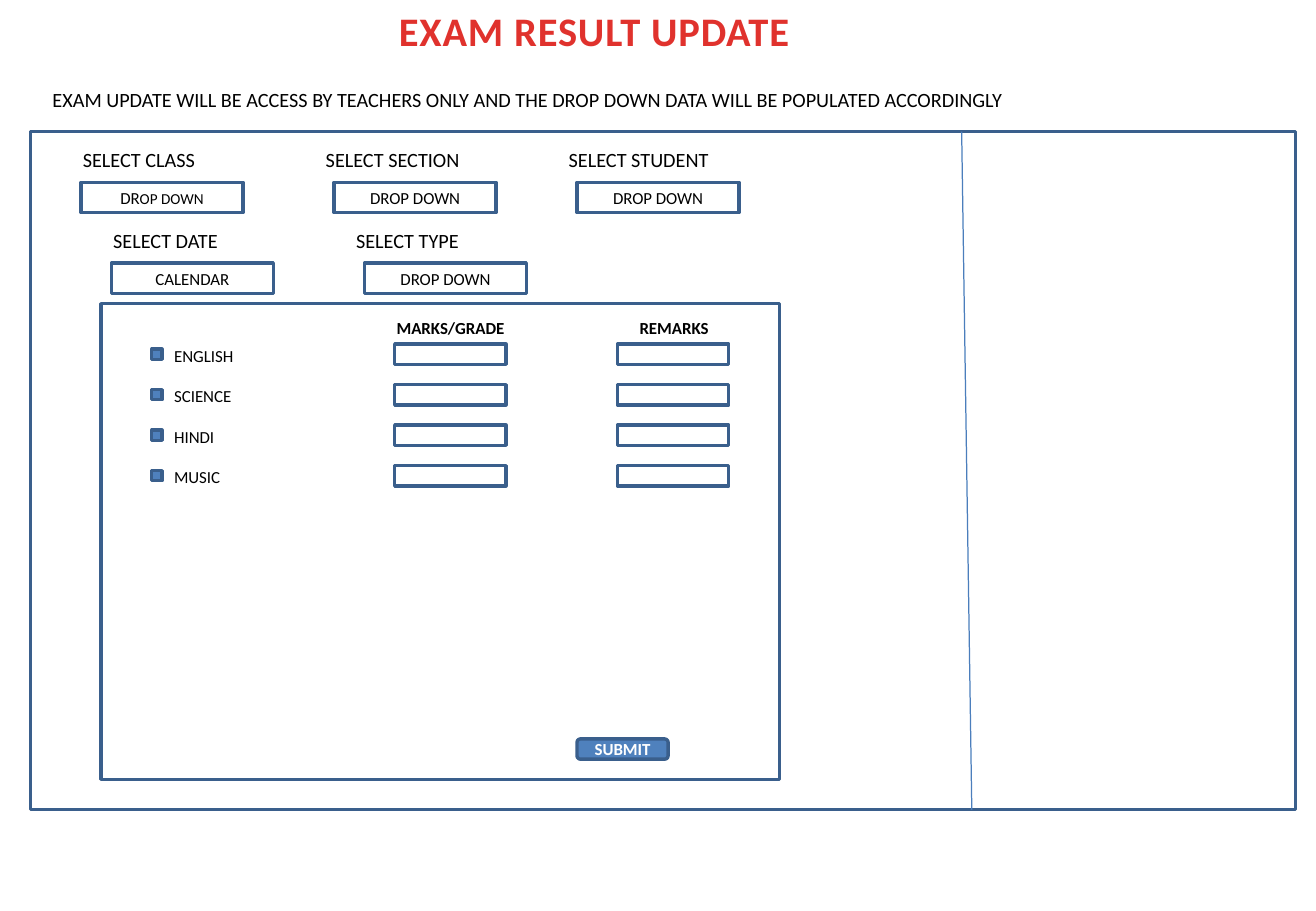
from lxml import etree
from pptx import Presentation
from pptx.dml.color import RGBColor
from pptx.enum.shapes import MSO_CONNECTOR, MSO_SHAPE
from pptx.enum.text import MSO_ANCHOR, MSO_AUTO_SIZE, PP_ALIGN
from pptx.oxml.ns import qn
from pptx.util import Inches, Pt

RECT, ROUNDED = MSO_SHAPE.RECTANGLE, MSO_SHAPE.ROUNDED_RECTANGLE
STRAIGHT = MSO_CONNECTOR.STRAIGHT
LEFT, CENTER = PP_ALIGN.LEFT, PP_ALIGN.CENTER
TOP, MIDDLE = MSO_ANCHOR.TOP, MSO_ANCHOR.MIDDLE
NO_AUTOFIT = MSO_AUTO_SIZE.NONE

RED = RGBColor(0xE0, 0x32, 0x2D)
BLUE = RGBColor(0x4F, 0x81, 0xBD)
DARK_BLUE = RGBColor(0x3A, 0x5F, 0x8C)
DIVIDER_BLUE = RGBColor(0x4B, 0x7E, 0xBC)
BLACK = RGBColor(0, 0, 0)
WHITE = RGBColor(0xFF, 0xFF, 0xFF)
FONT = "Calibri"

# Content; a tuple in place of a text holds (text, size) runs
TITLE = "EXAM RESULT UPDATE"
INTRO = ("EXAM UPDATE WILL BE ACCESS BY TEACHERS ONLY AND THE DROP DOWN "
         "DATA WILL BE POPULATED ACCORDINGLY")
DROP_DOWN = "DROP DOWN"
SELECTORS = [  # label, label column, label row, field text, field column
    ("SELECT CLASS", 7, 14, (("DR", 10), ("OP DOWN", 9)), 8),
    ("SELECT SECTION", 31, 14, DROP_DOWN, 33),
    ("SELECT STUDENT", 55, 14, DROP_DOWN, 57),
    ("SELECT DATE", 10, 22, "CALENDAR", 11),
    ("SELECT TYPE", 34, 22, DROP_DOWN, 36),
]
SUBJECTS = ["ENGLISH", "SCIENCE", "HINDI", "MUSIC"]
ENTRY_COLUMNS = [("MARKS/GRADE", 38, 39), ("REMARKS", 62, 61)]

# The slide is a grid of 130 columns by 90 rows, twelve to the inch
COLS, ROWS = 130, 90
FORM = (3, 13, 125, 67)
MARKS_PANEL = (10, 30, 67, 47)
FIRST_ROW, ROW_STEP = 34, 4


def grid(*cells):
    """Turn grid units into lengths."""
    return [Inches(c / 12) for c in cells]


def write(tf, lines, size=10, color=BLACK, bold=False, align=LEFT,
          anchor=TOP, wrap=True, gap=0, spacing=None):
    """Fill a text frame with one paragraph per line."""
    tf.auto_size = NO_AUTOFIT
    tf.word_wrap = wrap
    tf.vertical_anchor = anchor
    for i, line in enumerate(lines):
        p = tf.add_paragraph() if i else tf.paragraphs[0]
        p.alignment = align
        p.space_before, p.space_after = Pt(0), Pt(gap)
        for text, points in ([(line, size)] if isinstance(line, str) else line):
            r = p.add_run()
            r.text = text
            r.font.name, r.font.size, r.font.bold = FONT, Pt(points), bold
            r.font.color.rgb = color
            if spacing:
                r.font._element.set("spc", str(int(spacing * 100)))


def add_text(text, box, **fmt):
    """Add a text box."""
    write(slide.shapes.add_textbox(*grid(*box)).text_frame, [text], **fmt)


def add_box(box, text=None, kind=RECT, fill=WHITE, **fmt):
    """Add an outlined box, with centred text if any is given."""
    sp = slide.shapes.add_shape(kind, *grid(*box))
    sp.shadow.inherit = False
    sp.fill.solid()
    sp.fill.fore_color.rgb = fill
    sp.line.color.rgb, sp.line.width = DARK_BLUE, Pt(2)
    if text:
        write(sp.text_frame, [text], align=CENTER, anchor=MIDDLE, **fmt)


def place(sp, box):
    """Move a placeholder to its place and bring it to the front."""
    sp.left, sp.top, sp.width, sp.height = grid(*box)
    sp._element.getparent().append(sp._element)


def remove_bullets(tf):
    """Drop the bullets and indents that the layout gives to a list."""
    for p in tf.paragraphs:
        p_pr = p._p.get_or_add_pPr()
        p_pr.set("marL", "0")
        p_pr.set("indent", "0")
        etree.SubElement(p_pr, qn("a:buNone"))


prs = Presentation()
prs.slide_width, prs.slide_height = grid(COLS, ROWS)
slide = prs.slides.add_slide(prs.slide_layouts[1])
title, subject_list = slide.placeholders

place(title, (38, 0, 41.4, 6))
write(title.text_frame, [TITLE], size=24, color=RED, bold=True, align=CENTER,
      wrap=False, spacing=0.5)
add_text(INTRO, (4, 8, 100, 3.6), size=12)

add_box(FORM)
for label, label_col, row, field, field_col in SELECTORS:
    add_text(label, (label_col, row, 17, 3.6), size=12)
    add_box((field_col, row + 4, 16, 3), field)

add_box(MARKS_PANEL)
place(subject_list, (16, 33.5, 22, 17.5))
write(subject_list.text_frame, SUBJECTS, gap=12)
remove_bullets(subject_list.text_frame)
for heading, heading_col, _ in ENTRY_COLUMNS:
    add_text(heading, (heading_col, 30.75, 15, 3.2), bold=True)
for i in range(len(SUBJECTS)):
    row = FIRST_ROW + i * ROW_STEP
    add_box((15, row + 0.5, 1, 1), fill=BLUE)
    for _, _, field_col in ENTRY_COLUMNS:
        add_box((field_col, row, 11, 2))
add_box((57, 73, 9, 2), "SUBMIT", ROUNDED, BLUE, color=WHITE, bold=True)

divider = slide.shapes.add_connector(STRAIGHT, *grid(95, 13, 96, 80))
divider.line.color.rgb, divider.line.width = DIVIDER_BLUE, Pt(0.75)
etree.SubElement(divider._element.spPr, qn("a:effectLst"))

prs.save("out.pptx")
